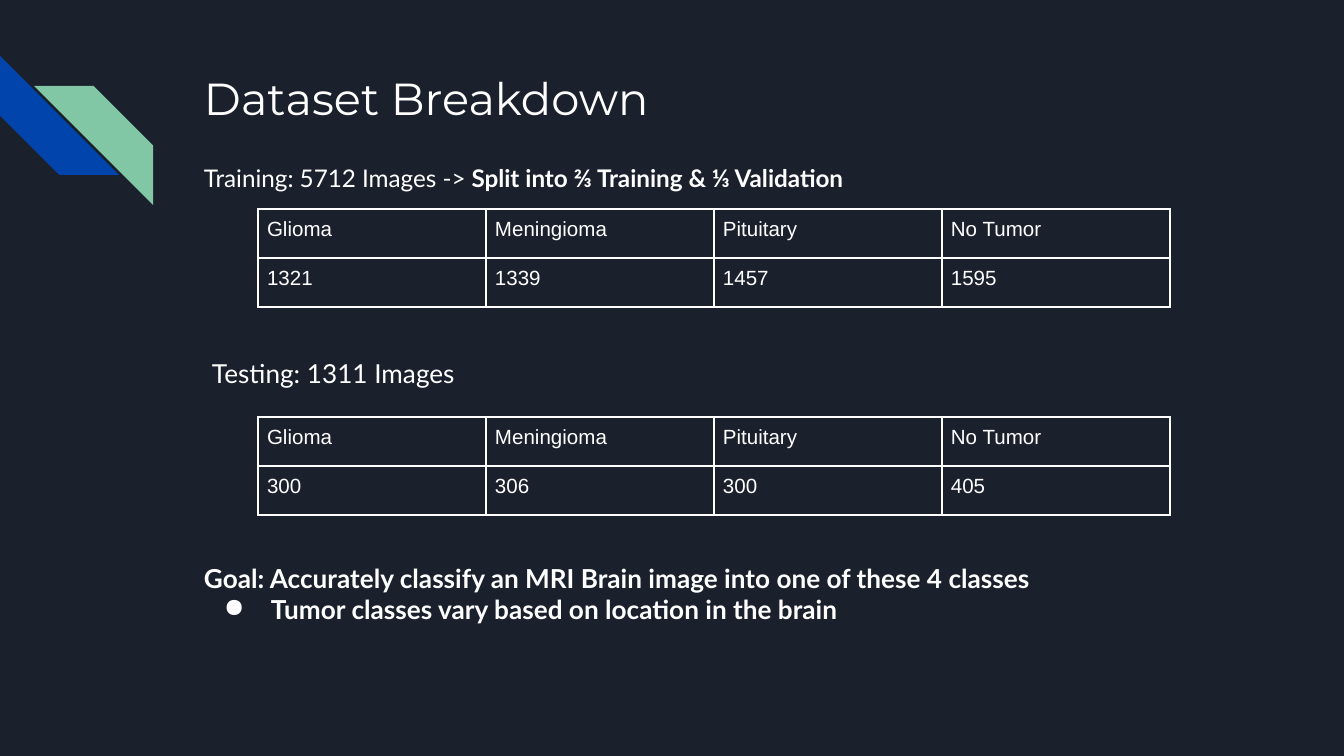
"""Build the dataset breakdown slide with its two class tables."""
from pptx import Presentation
from pptx.dml.color import RGBColor
from pptx.enum.shapes import MSO_SHAPE as Preset
from pptx.oxml.ns import qn
from pptx.util import Emu, Pt
from lxml.etree import Element, SubElement

NAVY = RGBColor(0x1B, 0x21, 0x2C)
BLUE = RGBColor(0x01, 0x45, 0xAC)
GREEN = RGBColor(0x82, 0xC7, 0xA5)
WHITE = RGBColor(0xFF, 0xFF, 0xFF)
EMU_PER_PX = 9144000 / 1344
CLASSES = ["Glioma", "Meningioma", "Pituitary", "No Tumor"]


def px(length):
    return Emu(round(length * EMU_PER_PX))


def write(paragraph, text, size=14, font="Lato", bold=False, color=WHITE):
    run = paragraph.add_run()
    run.text = text
    run.font.size = Pt(size)
    run.font.name = font
    run.font.bold = bold
    run.font.color.rgb = color


def set_bullet(paragraph, character, margin, indent, color=WHITE):
    properties = paragraph._p.get_or_add_pPr()
    properties.set("marL", str(px(margin)))
    properties.set("indent", str(px(indent)))
    bullet_color = SubElement(properties, qn("a:buClr"))
    SubElement(bullet_color, qn("a:srgbClr"), val=str(color))
    SubElement(properties, qn("a:buChar"), char=character)


def set_borders(cell, color=WHITE, width=1):
    properties = cell._tc.get_or_add_tcPr()
    for position, side in enumerate(("lnL", "lnR", "lnT", "lnB")):
        line = Element(qn(f"a:{side}"), w=str(Pt(width)))
        fill = SubElement(line, qn("a:solidFill"))
        SubElement(fill, qn("a:srgbClr"), val=str(color))
        properties.insert(position, line)


class SlideBuilder:
    def __init__(self, presentation):
        self.slide = presentation.slides.add_slide(presentation.slide_layouts[6])
        background = self.slide.background.fill
        background.solid()
        background.fore_color.rgb = NAVY
        self.inset = 13
        self.cell_inset = 9
        self.column_width = 228
        self.row_height = 49

    def stripe(self, left, top, size, color, rotation):
        shape = self.slide.shapes.add_shape(
            Preset.DIAGONAL_STRIPE, px(left), px(top), px(size), px(size))
        shape.adjustments[0] = 0.5
        shape.rotation = rotation
        shape.shadow.inherit = False
        shape.fill.solid()
        shape.fill.fore_color.rgb = color
        shape.line.fill.background()

    def text_box(self, left, top, width, height):
        shape = self.slide.shapes.add_textbox(px(left), px(top), px(width), px(height))
        frame = shape.text_frame
        frame.word_wrap = True
        frame.margin_left = frame.margin_right = px(self.inset)
        frame.margin_top = frame.margin_bottom = px(self.inset)
        return frame

    def table(self, left, top, rows):
        column_count = len(rows[0])
        table = self.slide.shapes.add_table(
            len(rows), column_count, px(left), px(top),
            px(self.column_width * column_count), px(self.row_height * len(rows))).table
        table.first_row = table.horz_banding = False
        for row, values in zip(table.rows, rows):
            row.height = px(self.row_height)
            for cell, value in zip(row.cells, values):
                cell.fill.background()
                cell.margin_left = cell.margin_right = px(self.cell_inset)
                cell.margin_top = cell.margin_bottom = px(self.cell_inset)
                set_borders(cell)
                write(cell.text_frame.paragraphs[0], value, size=11, font="Arial")


def main():
    presentation = Presentation()
    presentation.slide_width, presentation.slide_height = px(1344), px(756)
    builder = SlideBuilder(presentation)

    builder.stripe(0, 56, 119, BLUE, rotation=270)
    builder.stripe(34, 86, 119, GREEN, rotation=90)

    title = builder.text_box(191, 58, 1035, 134)
    write(title.paragraphs[0], "Dataset Breakdown", size=24, font="Montserrat")

    training = builder.text_box(191, 146, 1035, 208).paragraphs[0]
    training.line_spacing = 1.15
    write(training, "Training: 5712 Images -> ", size=13)
    write(training, "Split into ⅔ Training & ⅓ Validation", size=13, bold=True)
    builder.table(258, 209, [CLASSES, ["1321", "1339", "1457", "1595"]])

    testing = builder.text_box(199, 344, 972, 90)
    write(testing.paragraphs[0], "Testing: 1311 Images")
    builder.table(258, 417, [CLASSES, ["300", "306", "300", "405"]])

    goal = builder.text_box(191, 549, 1044, 122)
    write(goal.paragraphs[0],
          "Goal: Accurately classify an MRI Brain image into one of these 4 classes", bold=True)
    detail = goal.add_paragraph()
    set_bullet(detail, "●", margin=67, indent=-47)
    write(detail, "Tumor classes vary based on location in the brain", bold=True)

    presentation.save("out.pptx")


if __name__ == "__main__":
    main()
